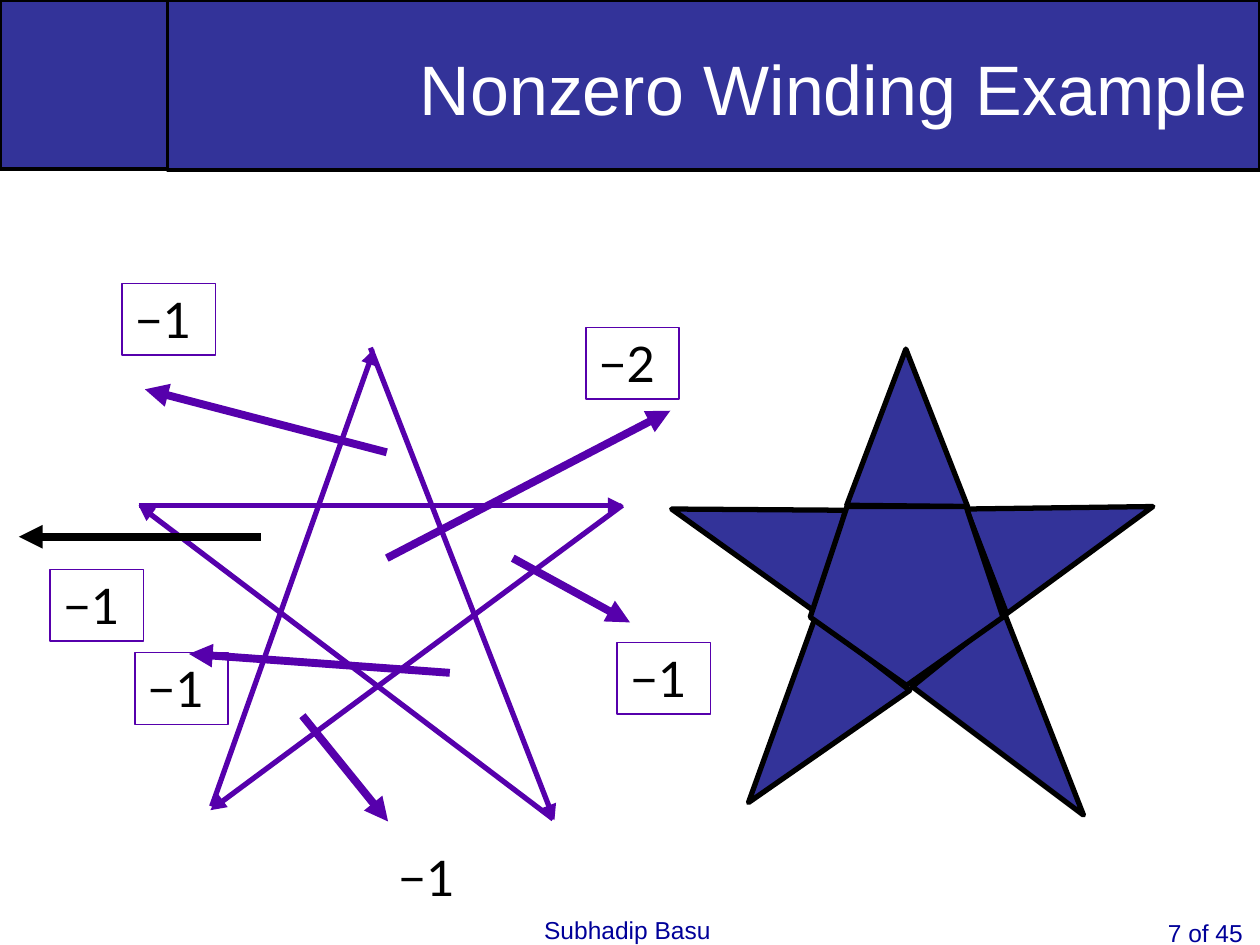
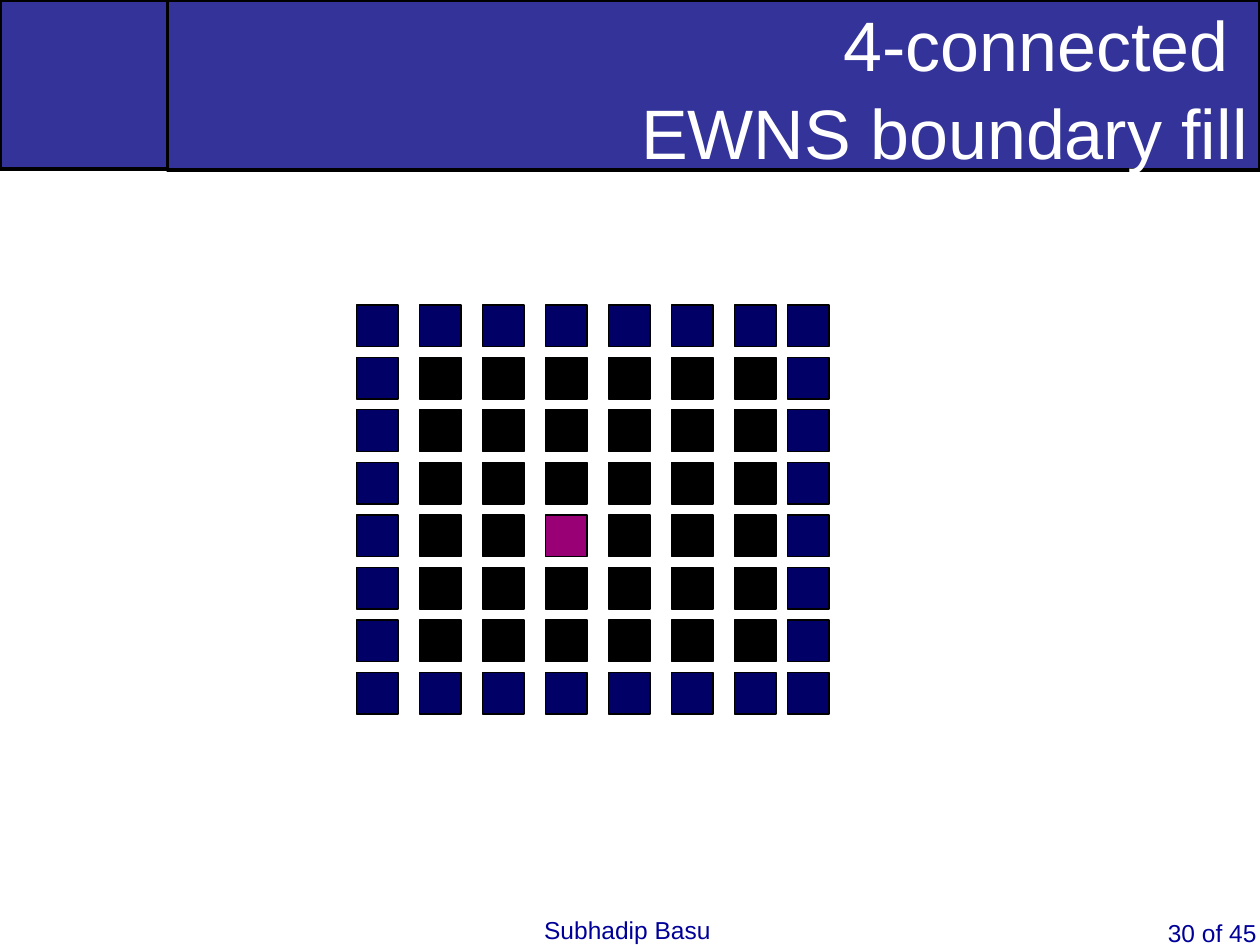
from dataclasses import dataclass

from lxml.etree import SubElement
from pptx import Presentation
from pptx.dml.color import RGBColor
from pptx.enum.shapes import MSO_CONNECTOR as Connector, MSO_SHAPE as Preset
from pptx.enum.text import MSO_ANCHOR as Anchor, PP_ALIGN as Align
from pptx.oxml.ns import qn
from pptx.util import Inches, Pt


@dataclass(frozen=True)
class Theme:
    band: str = "333399"
    outline: str = "000000"
    title: str = "FFFFFF"
    footer: str = "000099"
    arrow: str = "5600AC"
    boundary: str = "000066"
    interior: str = "000000"
    seed: str = "9A0075"
    font: str = "Arial"
    label_font: str = "Lato"
    title_size: int = 40
    label_size: int = 28
    footer_size: int = 14


theme = Theme()


def paint(shape, fill=None, line=None, width=1):
    shape.shadow.inherit = False
    if fill:
        shape.fill.solid()
        shape.fill.fore_color.rgb = RGBColor.from_string(fill)
    else:
        shape.fill.background()
    if line:
        shape.line.color.rgb = RGBColor.from_string(line)
        shape.line.width = Pt(width)
    else:
        shape.line.fill.background()


def add_text(slide, text, box, font=theme.font, size=theme.footer_size, color=theme.footer,
             align=Align.LEFT, anchor=Anchor.TOP, wrap=True, spacing=1.0,
             fill=None, line=None, width=1):
    shape = slide.shapes.add_textbox(*map(Inches, box))
    paint(shape, fill, line, width)
    frame = shape.text_frame
    frame.word_wrap = wrap
    frame.vertical_anchor = anchor
    for index, content in enumerate(text.split("\n")):
        paragraph = frame.add_paragraph() if index else frame.paragraphs[0]
        paragraph.alignment = align
        paragraph.line_spacing = spacing
        run = paragraph.add_run()
        run.text = content
        run.font.name = font
        run.font.size = Pt(size)
        run.font.color.rgb = RGBColor.from_string(color)


presentation = Presentation()
presentation.slide_width = Inches(10)
presentation.slide_height = Inches(7.5)

slides = []
for title, page in [("Nonzero Winding Example", 7), ("4-connected \nEWNS boundary fill", 30)]:
    slide = presentation.slides.add_slide(presentation.slide_layouts[6])
    corner = slide.shapes.add_shape(Preset.RECTANGLE, 0, 0, Inches(1.33), Inches(1.34))
    paint(corner, theme.band, theme.outline, 2)
    add_text(slide, f"{page} of 45", (9.17, 7.24, 0.98, 0.57))
    add_text(slide, "Subhadip Basu", (4.22, 7.21, 1.52, 0.34), wrap=False)
    add_text(slide, title, (1.33, 0, 8.67, 1.35), size=theme.title_size, color=theme.title,
             align=Align.RIGHT, anchor=Anchor.MIDDLE, spacing=1.05,
             fill=theme.band, line=theme.outline, width=2)
    slides.append(slide)

winding, boundary_fill = slides

star_edges = [
    (1.68, 6.4, 2.97, 2.77),
    (2.94, 2.76, 4.4, 6.51),
    (4.39, 6.5, 1.1, 4.01),
    (1.1, 4.01, 4.95, 4.01),
    (4.94, 4.01, 1.67, 6.43),
]
rays = [
    (3.07, 3.59, 1.15, 3.09),
    (2.4, 5.68, 3.08, 6.52),
    (3.57, 5.34, 1.5, 5.19),
    (4.07, 4.43, 5, 4.94),
    (3.07, 4.43, 5.32, 3.26),
]
black_ray = (2.07, 4.26, 0.15, 4.26)
arrow_groups = [
    (star_edges, theme.arrow, 3),
    (rays, theme.arrow, 4.5),
    ([black_ray], theme.outline, 4.5),
]
for ends, color, width in arrow_groups:
    for end in ends:
        arrow = winding.shapes.add_connector(Connector.STRAIGHT, *map(Inches, end))
        arrow.line.color.rgb = RGBColor.from_string(color)
        arrow.line.width = Pt(width)
        properties = arrow._element.spPr
        SubElement(properties.find(qn("a:ln")), qn("a:tailEnd"), type="triangle")
        SubElement(properties, qn("a:effectLst"))

star_points = [
    [(6.72, 4.01), (7.19, 2.77), (7.68, 4.02)],
    [(7.67, 4.04), (9.15, 4.02), (7.99, 4.87)],
    [(7.97, 4.86), (8.6, 6.47), (7.24, 5.45)],
    [(7.22, 5.48), (5.94, 6.37), (6.47, 4.9)],
    [(6.49, 4.87), (5.33, 4.04), (6.71, 4.05)],
]
star_parts = []
for corners in star_points:
    start, *others = [(Inches(x), Inches(y)) for x, y in corners]
    builder = winding.shapes.build_freeform(*start)
    builder.add_line_segments(others, close=True)
    star_parts.append(builder.convert_to_shape())

center = winding.shapes.add_shape(Preset.REGULAR_PENTAGON, *map(Inches, (6.43, 4.02, 1.53, 1.42)))
center.rotation = 180
for part in star_parts + [center]:
    paint(part, theme.band, theme.outline, 3)
    SubElement(part._element.spPr.find(qn("a:ln")), qn("a:round"))

winding_labels = [
    ("−1", 0.97, 2.25, theme.arrow),
    ("−1", 0.4, 4.52, theme.arrow),
    ("−1", 4.9, 5.1, theme.arrow),
    ("−1", 3.06, 6.68, None),
    ("−1", 1.07, 5.18, theme.arrow),
    ("−2", 4.65, 2.6, theme.arrow),
]
for number, left, top, border in winding_labels:
    add_text(winding, number, (left, top, 0.74, 0.57), font=theme.label_font,
             size=theme.label_size, color=theme.outline, line=border)

grid_top, row_step, cell_size = 2.42, 5 / 12, 0.33
column_lefts = [2.83 + 0.5 * column for column in range(7)] + [6.25]
seed_cell = (4, 3)
for row in range(8):
    for column, left in enumerate(column_lefts):
        if row in (0, 7) or column in (0, 7):
            color = theme.boundary
        elif (row, column) == seed_cell:
            color = theme.seed
        else:
            color = theme.interior
        box = (left, grid_top + row * row_step, cell_size, cell_size)
        cell = boundary_fill.shapes.add_shape(Preset.RECTANGLE, *map(Inches, box))
        paint(cell, color, theme.outline, 0.75)

presentation.save("out.pptx")
